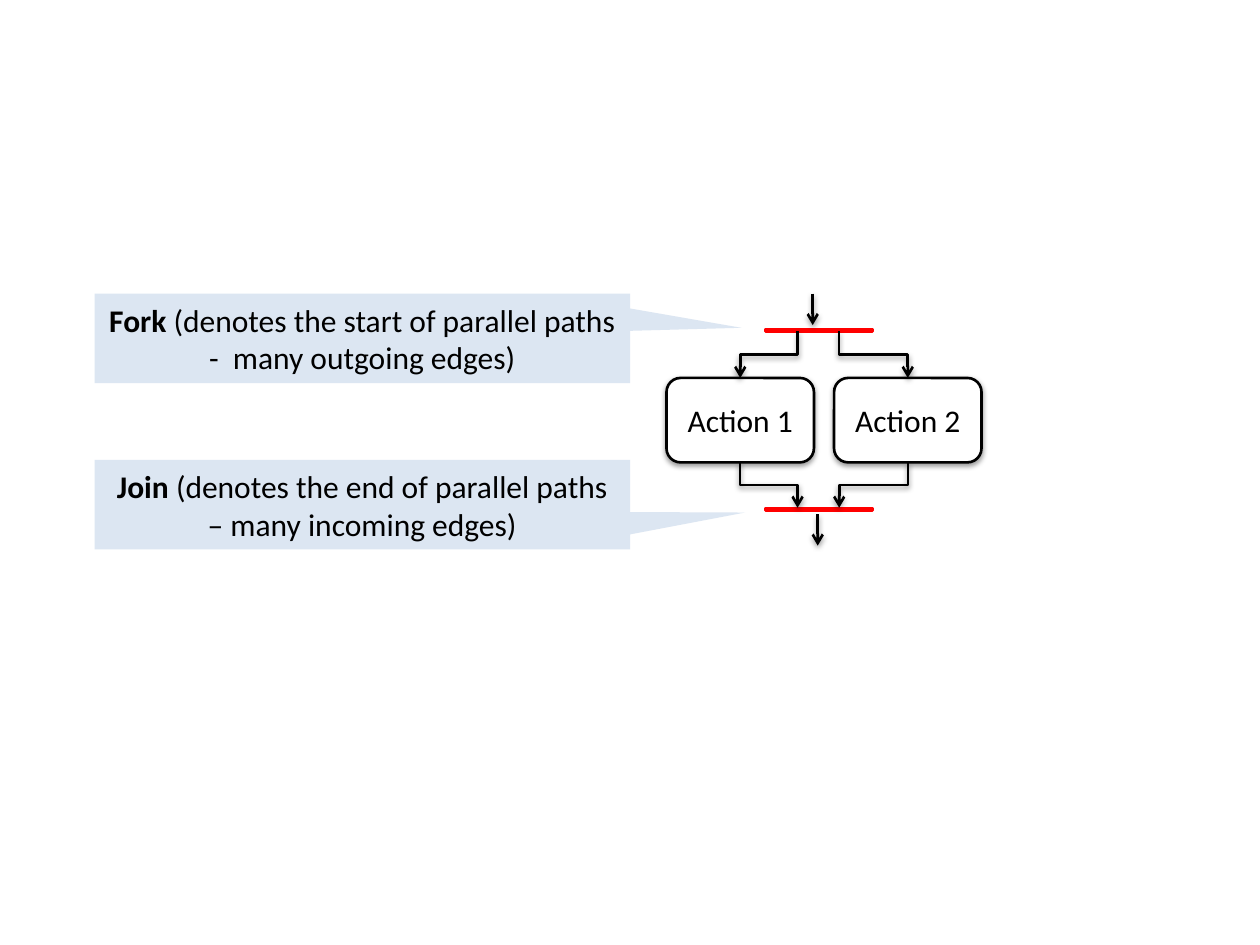
import pptx
import pptx.dml.color
import pptx.enum.shapes
import pptx.enum.text
import pptx.oxml
import pptx.oxml.ns
import pptx.util

Inches = pptx.util.Inches
KIND = pptx.enum.shapes.MSO_SHAPE
LINK = pptx.enum.shapes.MSO_CONNECTOR
NS = pptx.oxml.ns.nsdecls("a")
SHADE = (
    f'<a:effectLst {NS}><a:outerShdw blurRad="39370" dist="20320" dir="5400000" rotWithShape="0">'
    '<a:srgbClr val="000000"><a:alpha val="38000"/></a:srgbClr></a:outerShdw></a:effectLst>'
)
TIP = f'<a:tailEnd {NS} type="arrow"/>'
FONT = {"name": "Calibri", "size": pptx.util.Pt(18)}
FRAME = {"word_wrap": True, "vertical_anchor": pptx.enum.text.MSO_ANCHOR.MIDDLE}


def apply(item, values):
    for key, value in values.items():
        setattr(item, key, value)


def paint(part, color):
    part.rgb = pptx.dml.color.RGBColor.from_string(color)


def stroke(line, color):
    paint(line.color, color)
    line.width = pptx.util.Pt(1.5)


def shade(item):
    item.element.spPr.append(pptx.oxml.parse_xml(SHADE))


def shape(shapes, kind, box, fill, edge=None):
    item = shapes.add_shape(kind, *map(Inches, box))
    item.fill.solid()
    paint(item.fill.fore_color, fill)
    if edge:
        stroke(item.line, edge)
    else:
        item.line.fill.background()
    return item


def write(item, runs):
    apply(item.text_frame, FRAME)
    para = item.text_frame.paragraphs[0]
    para.alignment = pptx.enum.text.PP_ALIGN.CENTER
    for text, bold in runs:
        run = para.add_run()
        run.text = text
        apply(run.font, {**FONT, "bold": bold})
        paint(run.font.color, "000000")


def callout(shapes, box, tip, head, body):
    item = shape(shapes, KIND.RECTANGULAR_CALLOUT, box, "DCE6F2")
    item.shadow.inherit = False
    item.adjustments[0], item.adjustments[1] = tip
    write(item, [(head, True), (body, False)])
    item.text_frame.auto_size = pptx.enum.text.MSO_AUTO_SIZE.SHAPE_TO_FIT_TEXT


def action(shapes, box, label):
    item = shape(shapes, KIND.ROUNDED_RECTANGLE, box, "FFFFFF", "000000")
    item.shadow.inherit = True
    shade(item)
    write(item, [(label, False)])


def bar(shapes, left, top, fill):
    group = shapes.add_group_shape()
    for step in range(5):
        box = (left + step / 6, top, 0.25, 0.08)
        dash = shape(group.shapes, KIND.MATH_MINUS, box, fill, "FF0000")
        dash.shadow.inherit = False


def arrow(shapes, kind, start, end):
    item = shapes.add_connector(kind, *map(Inches, start + end))
    stroke(item.line, "000000")
    item.line._get_or_add_ln().append(pptx.oxml.parse_xml(TIP))
    shade(item)
    return item


def elbow(shapes, start, end):
    mid_x, mid_y = (start[0] + end[0]) / 2, (start[1] + end[1]) / 2
    right = end[0] > start[0]
    half_x = (end[1] - start[1]) / 2 * (-1 if right else 1)
    half_y = abs(end[0] - start[0]) / 2
    item = arrow(shapes, LINK.ELBOW, (mid_x - half_x, mid_y - half_y),
                 (mid_x + half_x, mid_y + half_y))
    item.element.spPr.xfrm.set("rot", str((270 if right else 90) * 60000))


def flow(shapes, left, top):
    wide, high, gap = 1.17, 0.67, 1.33
    fork, join = top + 0.3, top + 1.7
    first, last = top + 0.67, top + 0.67 + high
    bar(shapes, left + 0.75, top + 0.25, "C0504D")
    bar(shapes, left + 0.75, top + 1.67, "000000")
    for index, port in enumerate((left + 1.04, left + 1.37)):
        side = left + index * gap
        center = side + wide / 2
        action(shapes, (side, first, wide, high), f"Action {index + 1}")
        elbow(shapes, (port, fork), (center, first))
        elbow(shapes, (center, last), (port, join))
    for x, y in ((left + 1.16, top), (left + 1.2, top + 1.75)):
        arrow(shapes, LINK.STRAIGHT, (x, y), (x, y + 0.25))


def main():
    deck = pptx.Presentation()
    apply(deck, {"slide_width": Inches(10), "slide_height": Inches(7.5)})
    shapes = deck.slides.add_slide(deck.slide_layouts[6]).shapes
    callout(shapes, (0.75, 2.33, 4.25, 0.71), (0.708, -0.117), "Fork ",
            "(denotes the start of parallel paths -  many outgoing edges)")
    callout(shapes, (0.75, 3.65, 4.25, 0.71), (0.715, 0.089), "Join ",
            "(denotes the end of parallel paths – many incoming edges)")
    flow(shapes, 5.29, 2.33)
    deck.save("out.pptx")


if __name__ == "__main__":
    main()
